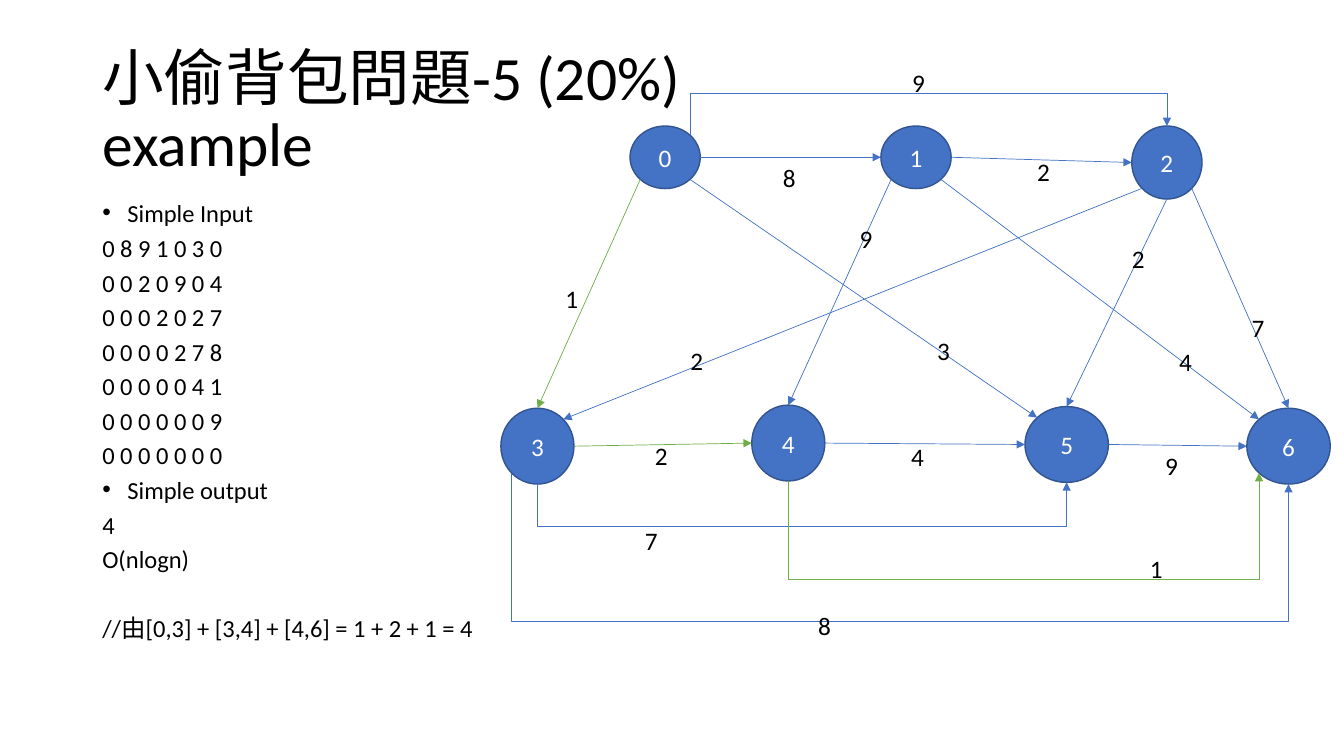
import math

import lxml.etree
import pptx
import pptx.dml.color
import pptx.enum.shapes
import pptx.enum.text
import pptx.oxml.ns
import pptx.util

Pt = pptx.util.Pt
qn = pptx.oxml.ns.qn
BLACK = pptx.dml.color.RGBColor(0x00, 0x00, 0x00)
WHITE = pptx.dml.color.RGBColor(0xFF, 0xFF, 0xFF)
BLUE = pptx.dml.color.RGBColor(0x44, 0x72, 0xC4)
NAVY = pptx.dml.color.RGBColor(0x32, 0x54, 0x91)
GREEN = pptx.dml.color.RGBColor(0x70, 0xAD, 0x47)
FONT = "Calibri"

TITLE = "小偷背包問題-5 (20%)\vexample"
INPUT_HEADING, OUTPUT_HEADING = "Simple Input", "Simple output"
NOTE = "//由[0,3] + [3,4] + [4,6] = 1 + 2 + 1 = 4"
WEIGHTS = [
    "0 8 9 1 0 3 0",
    "0 0 2 0 9 0 4",
    "0 0 0 2 0 2 7",
    "0 0 0 0 2 7 8",
    "0 0 0 0 0 4 1",
    "0 0 0 0 0 0 9",
    "0 0 0 0 0 0 0",
]
BODY = [INPUT_HEADING, *WEIGHTS, OUTPUT_HEADING, "4", "O(nlogn)", NOTE]

NODES = [
    (450, 90, 50.2, 44.7),
    (629.2, 90, 50.2, 44.7),
    (808.4, 90, 50.2, 52.2),
    (357.8, 291.6, 52.2, 54.2),
    (537, 289.4, 52.2, 54.2),
    (732.1, 290.4, 59.6, 54.2),
    (890.6, 291.6, 59.6, 54.2),
]
TOP, TOP_LEFT, LEFT, BOTTOM_LEFT, BOTTOM, BOTTOM_RIGHT, RIGHT, TOP_RIGHT = range(8)
SHORTEST_PATH = [(0, 3), (3, 4), (4, 6)]
EDGES = [
    (0, RIGHT, 1, LEFT, None, "8", 552.2, 112.3),
    (1, RIGHT, 2, LEFT, None, "2", 733.7, 108),
    (0, TOP_RIGHT, 2, TOP, 67, "9", 644.4, 44.6),
    (2, BOTTOM_LEFT, 3, TOP_RIGHT, None, "2", 486, 243.4),
    (2, BOTTOM, 5, TOP, None, "2", 801.4, 170.6),
    (2, BOTTOM_RIGHT, 6, TOP, None, "7", 887, 219.6),
    (1, BOTTOM_LEFT, 4, TOP, None, "9", 607, 156.2),
    (1, BOTTOM_RIGHT, 6, TOP_LEFT, None, "4", 835.2, 244.1),
    (0, BOTTOM_LEFT, 3, TOP, None, "1", 396.7, 198.7),
    (0, BOTTOM_RIGHT, 5, TOP_LEFT, None, "3", 662.4, 236.2),
    (3, RIGHT, 4, LEFT, None, "2", 460.8, 311),
    (3, BOTTOM, 5, BOTTOM, 376.6, "7", 453.6, 371.5),
    (3, BOTTOM_LEFT, 6, BOTTOM, 444.2, "8", 577.4, 432.7),
    (4, RIGHT, 5, LEFT, None, "4", 643.7, 311.8),
    (4, BOTTOM, 6, BOTTOM_LEFT, 414, "1", 814.3, 391.7),
    (5, RIGHT, 6, LEFT, None, "9", 825.1, 318.2),
]


def write(paragraph, text, size=18, color=BLACK, **layout):
    """Fill a paragraph with text and set its font and paragraph properties."""
    paragraph.text = text
    for run in paragraph.runs:
        run.font.name, run.font.size = FONT, Pt(size)
        run.font.color.rgb = color
    for name, value in layout.items():
        setattr(paragraph, name, value)


def add_text_frame(slide, left, top, width, height, wrap=True):
    """Add a text box and return its frame."""
    frame = slide.shapes.add_textbox(Pt(left), Pt(top), Pt(width), Pt(height)).text_frame
    frame.word_wrap = wrap
    return frame


def add_bullet(paragraph):
    """Give a paragraph a round bullet with a hanging indent."""
    properties = paragraph._p.get_or_add_pPr()
    properties.set("marL", str(Pt(18)))
    properties.set("indent", str(-Pt(18)))
    lxml.etree.SubElement(properties, qn("a:buFont"), typeface="Arial")
    lxml.etree.SubElement(properties, qn("a:buChar"), char="•")


def add_body(slide):
    """Add the sample input and output beside the graph."""
    frame = add_text_frame(slide, 66, 144, 828, 342.7)
    for index, line in enumerate(BODY):
        paragraph = frame.add_paragraph() if index else frame.paragraphs[0]
        space = Pt(34.7 if line == NOTE else 10)
        write(paragraph, line, size=17.5, line_spacing=0.7, space_before=space)
        if line in (INPUT_HEADING, OUTPUT_HEADING):
            add_bullet(paragraph)


def add_node(slide, number, bounds):
    """Add one numbered graph node."""
    oval = pptx.enum.shapes.MSO_SHAPE.OVAL
    node = slide.shapes.add_shape(oval, *map(Pt, bounds))
    node.shadow.inherit = False
    node.fill.solid()
    node.fill.fore_color.rgb = BLUE
    node.line.color.rgb, node.line.width = NAVY, Pt(1)
    node.text_frame.vertical_anchor = pptx.enum.text.MSO_ANCHOR.MIDDLE
    centre = pptx.enum.text.PP_ALIGN.CENTER
    write(node.text_frame.paragraphs[0], str(number), color=WHITE, alignment=centre)
    return node


def site_point(bounds, site):
    """Return the point of an oval's connection site, counted from the top to the left."""
    left, top, width, height = bounds
    angle = math.radians(90 + 45 * site)
    return (left + width / 2 * (1 + math.cos(angle)),
            top + height / 2 * (1 - math.sin(angle)))


def bend(connector, start, end, level):
    """Route an elbow connector vertically to a level, across to the right, and back."""
    (start_x, start_y), (end_x, end_y) = start, end
    across, rise = end_x - start_x, abs(end_y - start_y)
    connector.left = Pt((start_x + end_x - rise) / 2)
    connector.top = Pt((start_y + end_y - across) / 2)
    connector.width, connector.height = Pt(rise), Pt(across)
    downward = end_y > start_y
    frame = connector._element.spPr.find(qn("a:xfrm"))
    frame.set("rot", str((270 if downward else 90) * 60000))
    frame.set("flipH", "1")
    frame.set("flipV", "0" if downward else "1")
    ratio = round((level - start_y) / (end_y - start_y) * 100000)
    adjustments = connector._element.spPr.find(qn("a:prstGeom")).get_or_add_avLst()
    lxml.etree.SubElement(adjustments, qn("a:gd"), name="adj1", fmla=f"val {ratio}")


def add_edge(slide, nodes, source, source_site, target, target_site, level):
    """Join two nodes with an arrow, bent at a level if one is given."""
    start = site_point(NODES[source], source_site)
    end = site_point(NODES[target], target_site)
    kinds = pptx.enum.shapes.MSO_CONNECTOR
    kind = kinds.STRAIGHT if level is None else kinds.ELBOW
    connector = slide.shapes.add_connector(kind, *map(Pt, start + end))
    if level is not None:
        bend(connector, start, end, level)
    connector.line.color.rgb = GREEN if (source, target) in SHORTEST_PATH else BLUE
    connector.line.width = Pt(0.5)
    lxml.etree.SubElement(connector.line._ln, qn("a:tailEnd"), type="triangle")
    lxml.etree.SubElement(connector._element.spPr, qn("a:effectLst"))
    links = connector._element.find(".//" + qn("p:cNvCxnSpPr"))
    for tag, node, site in (("a:stCxn", source, source_site), ("a:endCxn", target, target_site)):
        lxml.etree.SubElement(links, qn(tag), id=str(nodes[node].shape_id), idx=str(site))


def main():
    """Build the weighted graph slide."""
    presentation = pptx.Presentation()
    presentation.slide_width, presentation.slide_height = Pt(960), Pt(540)
    slide = presentation.slides.add_slide(presentation.slide_layouts[6])
    title = add_text_frame(slide, 66, 28.8, 828, 104.4)
    title.vertical_anchor = pptx.enum.text.MSO_ANCHOR.MIDDLE
    write(title.paragraphs[0], TITLE, size=44, line_spacing=0.9)
    add_body(slide)
    nodes = [add_node(slide, number, bounds) for number, bounds in enumerate(NODES)]
    for edge in EDGES:
        add_edge(slide, nodes, *edge[:5])
    for *_, weight, left, top in EDGES:
        label = add_text_frame(slide, left, top, 23.8, 29, wrap=False)
        write(label.paragraphs[0], weight)
    presentation.save("out.pptx")


if __name__ == "__main__":
    main()
